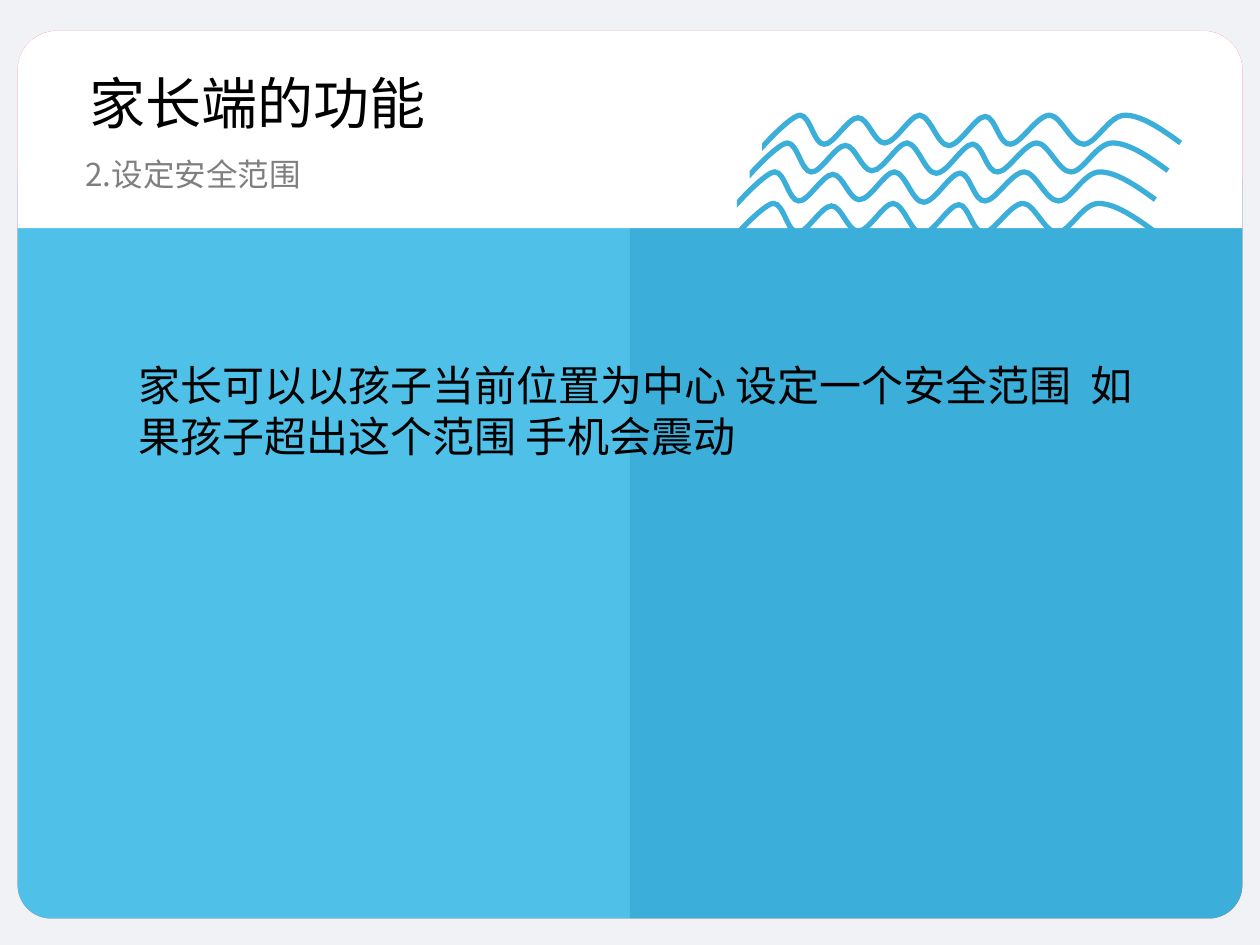
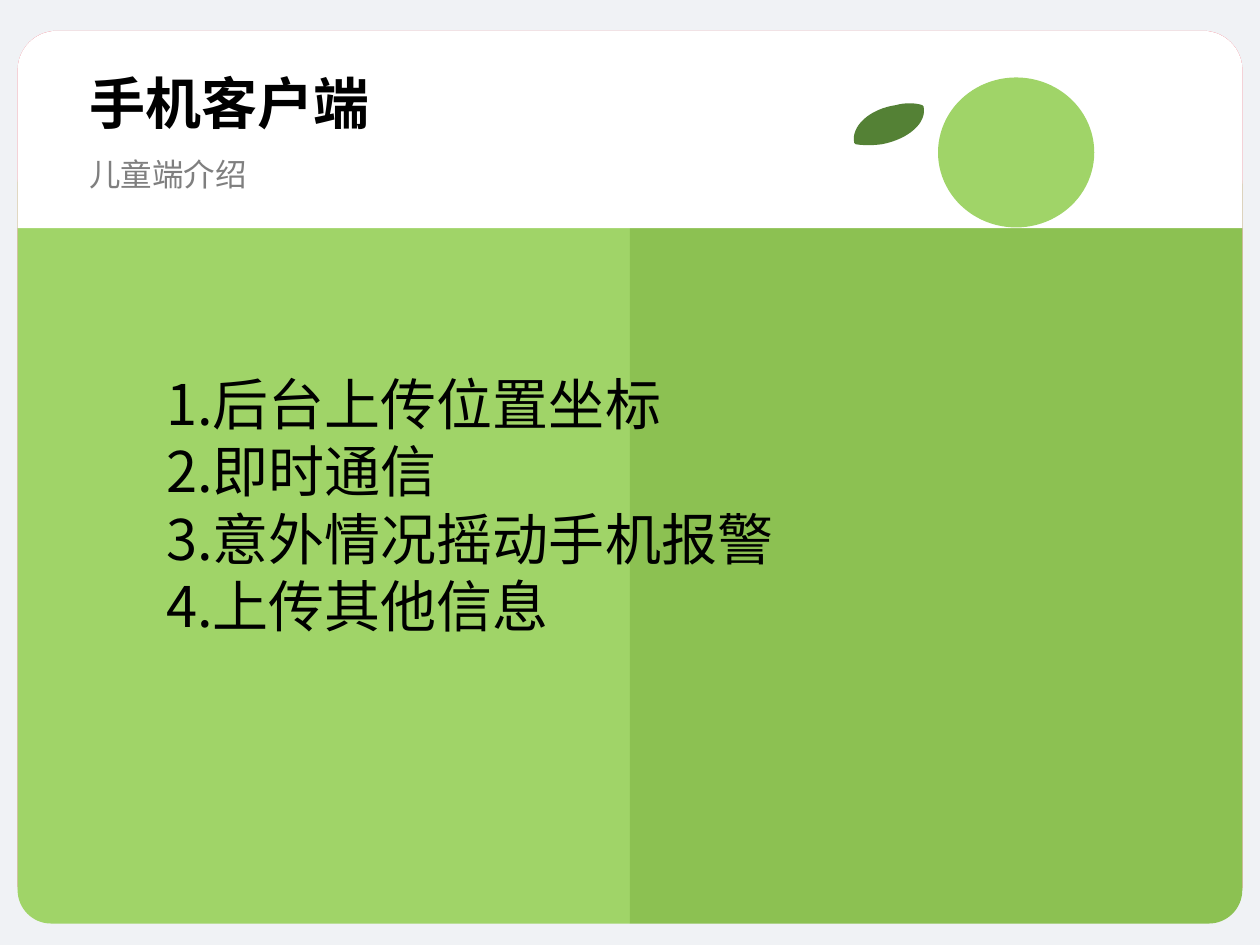
from dataclasses import dataclass

import pptx
import pptx.dml.color
import pptx.enum.shapes
import pptx.enum.text
import pptx.util
from pptx.oxml.ns import qn

RGBColor = pptx.dml.color.RGBColor
PAGE = RGBColor(0xF0, 0xF2, 0xF5)
WHITE = RGBColor(0xFF, 0xFF, 0xFF)
BLACK = RGBColor(0x00, 0x00, 0x00)
GREY = RGBColor(0x7F, 0x7F, 0x7F)
RED = RGBColor(0xED, 0x55, 0x65)
LIGHT_BLUE = RGBColor(0x4F, 0xC1, 0xE9)
BLUE = RGBColor(0x3B, 0xAF, 0xDA)
LIGHT_GREEN = RGBColor(0xA0, 0xD4, 0x68)
GREEN = RGBColor(0x8C, 0xC1, 0x52)
LEAF_GREEN = RGBColor(0x54, 0x81, 0x35)

FONT = "Noto Sans CJK SC"
COLUMNS, ROWS = 100, 75
CELL = pptx.util.Inches(10) // COLUMNS
HEADER_RADIUS, BODY_RADIUS = 3.1, 2.65
ARC_PULL = 0.55

WAVE = [
    [(33, 2.2)],
    [(31.5, 1.1), (29.9, 0), (28.6, 0)],
    [(27.3, 0), (26.3, 2.3), (25.3, 2.3)],
    [(24.3, 2.3), (23.5, 0), (22.6, 0)],
    [(21.6, 0), (20.3, 2.3), (19.5, 2.3)],
    [(18.6, 2.4), (18.3, 0.1), (17.5, 0.1)],
    [(16.7, 0.1), (15.5, 2.4), (14.6, 2.4)],
    [(13.7, 2.4), (13.2, 0.1), (12.3, 0)],
    [(11.5, 0), (10.4, 2.2), (9.5, 2.2)],
    [(8.7, 2.2), (8.2, 0.2), (7.4, 0.2)],
    [(6.6, 0.2), (5.4, 2.4), (4.7, 2.3)],
    [(3.9, 2.3), (3.6, 0), (2.8, 0)],
    [(2.1, 0), (0, 2.3), (0, 2.3)],
    [(0, 2.2)],
]
WAVE_OFFSETS = [(0, 0), (-1, 2.2), (-2, 4.5), (-2.1, 7)]
LEAF = [
    [(5.5, 0.3)],
    [(5.8, 1.6), (4.3, 2.9), (2.2, 3.3)],
    [(1.5, 3.4), (0.7, 3.4), (0.1, 3.3)],
    [(0, 3.2)],
    [(-0.3, 1.9), (1.2, 0.5), (3.3, 0.2)],
    [(4, 0), (4.8, 0), (5.4, 0.2)],
]


@dataclass
class Box:
    left: float
    top: float
    width: float
    height: float

    def inner(self, left, top, width, height):
        return Box(self.left + left, self.top + top, width, height)

    def emu(self):
        return [round(value * CELL) for value in (self.left, self.top, self.width, self.height)]


PAGE_BOX = Box(0, 0, COLUMNS, ROWS)
CARD = PAGE_BOX.inner(1.4, 2.45, 97.2, 70.45)
HEADER = CARD.inner(0, 0, CARD.width, 15.65)
BODY = CARD.inner(0, 9.15, CARD.width, 61.3)


def paint(shape, fill):
    shape.shadow.inherit = False
    shape.fill.solid()
    shape.fill.fore_color.rgb = fill
    shape.line.fill.background()


def add_preset(slide, kind, box, fill):
    paint(slide.shapes.add_shape(kind, *box.emu()), fill)


def add_outline(parent, segments, left=0, top=0, closed=True):
    points = [(round((left + x) * CELL), round((top + y) * CELL))
              for segment in segments for x, y in segment]
    builder = parent.shapes.build_freeform(*points[0], scale=1.0)
    builder.add_line_segments(points[1:], close=closed)
    shape = builder.convert_to_shape()
    lines = iter(list(shape._element.iter(qn("a:lnTo"))))
    for segment in segments[1:]:
        steps = [next(lines) for _ in segment]
        if len(steps) == 3:
            curve = steps[0].makeelement(qn("a:cubicBezTo"), {})
            steps[0].addprevious(curve)
            for step in steps:
                curve.append(step[0])
                step.getparent().remove(step)
    return shape


def add_rounded(slide, box, radii, fill):
    right, bottom = box.left + box.width, box.top + box.height
    corners = [(box.left, box.top, 0, 1, 1, 0), (right, box.top, -1, 0, 0, 1),
               (right, bottom, 0, -1, -1, 0), (box.left, bottom, 1, 0, 0, -1)]
    segments = []
    for (x, y, enter_x, enter_y, leave_x, leave_y), radius in zip(corners, radii):
        pull = radius * (1 - ARC_PULL)
        segments.append([(x + enter_x * radius, y + enter_y * radius)])
        if radius:
            segments.append([(x + enter_x * pull, y + enter_y * pull),
                             (x + leave_x * pull, y + leave_y * pull),
                             (x + leave_x * radius, y + leave_y * radius)])
    paint(add_outline(slide, segments), fill)


def add_text(slide, box, lines, size, color=BLACK, bold=False, wrap=False, indent=0):
    frame = slide.shapes.add_textbox(*box.emu()).text_frame
    frame.word_wrap = wrap
    frame.auto_size = pptx.enum.text.MSO_AUTO_SIZE.SHAPE_TO_FIT_TEXT
    frame.text = "\n".join(lines)
    for paragraph in frame.paragraphs:
        if indent:
            paragraph._p.get_or_add_pPr().set("marL", str(indent * CELL))
        for run in paragraph.runs:
            run.font.size = pptx.util.Pt(size)
            run.font.name = FONT
            run.font.bold = bold
            run.font.color.rgb = color
            east_asian = run._r.get_or_add_rPr().makeelement(qn("a:ea"), {"typeface": FONT})
            run.font._element.find(qn("a:latin")).addnext(east_asian)


def add_card(slide, body, left_fill, right_fill):
    add_preset(slide, pptx.enum.shapes.MSO_SHAPE.RECTANGLE, PAGE_BOX, PAGE)
    add_rounded(slide, CARD, (HEADER_RADIUS, HEADER_RADIUS, BODY_RADIUS, BODY_RADIUS), RED)
    half = body.width / 2
    add_rounded(slide, body.inner(0, 0, half, body.height),
                (BODY_RADIUS, 0, 0, BODY_RADIUS), left_fill)
    add_rounded(slide, body.inner(half, 0, half, body.height),
                (0, BODY_RADIUS, BODY_RADIUS, 0), right_fill)
    add_rounded(slide, HEADER, (HEADER_RADIUS, HEADER_RADIUS, 0, 0), WHITE)


def add_heading(slide, header, title, subtitle, subtitle_left, bold=False):
    add_text(slide, header.inner(4.75, 2.5, 28.7, 6.4), [title], 32, bold=bold)
    add_text(slide, header.inner(subtitle_left, 9.35, 19.7, 4), [subtitle], 18, GREY)


def add_waves(slide, box):
    group = slide.shapes.add_group_shape()
    for left, top in WAVE_OFFSETS:
        shape = add_outline(group, WAVE, box.left + left, box.top + top, closed=False)
        shape.shadow.inherit = False
        shape.fill.background()
        shape.line.color.rgb = BLUE
        shape.line.width = pptx.util.Pt(3)
        outline = shape.line._get_or_add_ln()
        outline.append(outline.makeelement(qn("a:miter"), {"lim": "800000"}))


def add_fruit(slide, box):
    add_preset(slide, pptx.enum.shapes.MSO_SHAPE.FLOWCHART_CONNECTOR,
               box.inner(6.65, 0, 12.4, 11.9), LIGHT_GREEN)
    paint(add_outline(slide, LEAF, box.left, box.top + 2), LEAF_GREEN)


def add_safe_range_slide(presentation):
    slide = presentation.slides.add_slide(presentation.slide_layouts[6])
    add_card(slide, BODY, LIGHT_BLUE, BLUE)
    add_waves(slide, HEADER.inner(59.3, 6.7, 33, 9.4))
    add_heading(slide, HEADER, "家长端的功能", "2.设定安全范围", 4.4)
    add_text(slide, BODY.inner(8.6, 16.45, 81.6, 9),
             ["家长可以以孩子当前位置为中心 设定一个安全范围  如果孩子超出这个范围 手机会震动"],
             24, wrap=True)


def add_child_client_slide(presentation):
    slide = presentation.slides.add_slide(presentation.slide_layouts[6])
    body = BODY.inner(0, 0.4, BODY.width, BODY.height)
    add_card(slide, body, LIGHT_GREEN, GREEN)
    add_heading(slide, HEADER, "手机客户端", "儿童端介绍", 4.7, bold=True)
    add_text(slide, body.inner(0.8, 16.85, 77.1, 22.4),
             ["1.后台上传位置坐标", "2.即时通信", "3.意外情况摇动手机报警", "4.上传其他信息"],
             32, wrap=True, indent=10)
    add_fruit(slide, HEADER.inner(66.4, 3.7, 19, 11.9))


def main():
    presentation = pptx.Presentation()
    presentation.slide_width = COLUMNS * CELL
    presentation.slide_height = ROWS * CELL
    add_safe_range_slide(presentation)
    add_child_client_slide(presentation)
    presentation.save("out.pptx")


if __name__ == "__main__":
    main()
